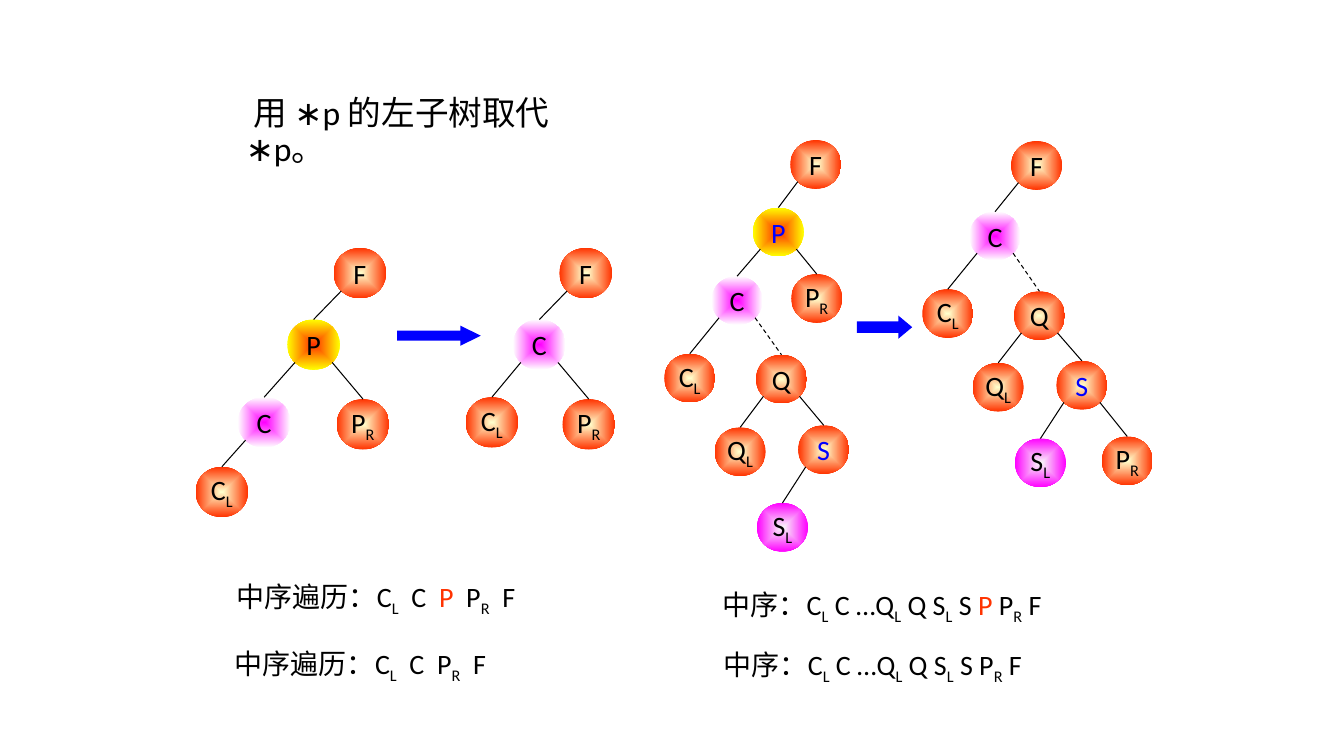
"""Build a slide on deleting a node from a binary search tree."""
from lxml import etree
from pptx import Presentation
from pptx.dml.color import RGBColor
from pptx.enum.dml import MSO_LINE
from pptx.enum.shapes import MSO_CONNECTOR, MSO_SHAPE
from pptx.enum.text import MSO_ANCHOR, PP_ALIGN
from pptx.oxml.ns import qn
from pptx.util import Pt

OVAL, ARROW = MSO_SHAPE.OVAL, MSO_SHAPE.RIGHT_ARROW
LINE, DASH = MSO_CONNECTOR.STRAIGHT, MSO_LINE.DASH
MIDDLE, CENTER = MSO_ANCHOR.MIDDLE, PP_ALIGN.CENTER

FONT = "Calibri"
BLACK = RGBColor(0x00, 0x00, 0x00)
BLUE = RGBColor(0x00, 0x00, 0xFF)
RED = RGBColor(0xFF, 0x33, 0x00)
CREAM = RGBColor(0xFF, 0xFF, 0xCC)
YELLOW = RGBColor(0xFF, 0xFF, 0x00)
PINK = RGBColor(0xFF, 0x00, 0xFF)
WHITE = RGBColor(0xFF, 0xFF, 0xFF)
PALE = RGBColor(0xF8, 0xF8, 0xF8)

PLAIN, GONE, CHILD, LEAF = (CREAM, RED), (RED, YELLOW), (PINK, WHITE), (PALE, PINK)
DIAG = 0.3536

BIG, SMALL = (37.6, 36), (36.4, 34.8)
TREES = [
    (BIG, [
        ("F", 238.3, 177.1, PLAIN, BLACK, None),
        ("P", 205.2, 228.2, GONE, BLACK, "F"),
        ("C", 169.9, 283.7, CHILD, BLACK, "P"),
        ("P|_R", 240.5, 285.1, PLAIN, BLACK, "P"),
        ("C|_L", 139.7, 333.4, PLAIN, BLACK, "C"),
    ]),
    (BIG, [
        ("F", 399.6, 177.1, PLAIN, BLACK, None),
        ("C", 366.5, 228.2, CHILD, BLACK, "F"),
        ("P|_R", 401.8, 285.1, PLAIN, BLACK, "C"),
        ("C|_L", 332.6, 283.7, PLAIN, BLACK, "C"),
    ]),
    (SMALL, [
        ("F", 564.5, 100.1, PLAIN, BLACK, None),
        ("P", 537.8, 148.3, GONE, BLUE, "F"),
        ("C", 508.3, 197.3, CHILD, BLACK, "P"),
        ("P|_R", 565.2, 195.8, PLAIN, BLACK, "P"),
        ("C|_L", 474.5, 252.7, PLAIN, BLACK, "C"),
        ("Q", 540, 253.4, PLAIN, BLACK, "C"),
        ("Q|_L", 510.5, 305.3, PLAIN, BLACK, "Q"),
        ("S", 570.2, 303.8, PLAIN, BLUE, "Q"),
        ("S|_L", 540.7, 359.3, LEAF, BLACK, "S"),
    ]),
    (SMALL, [
        ("F", 722.2, 100.8, PLAIN, BLACK, None),
        ("C", 692.6, 151.2, CHILD, BLACK, "F"),
        ("C|_L", 658.8, 206.6, PLAIN, BLACK, "C"),
        ("Q", 724.3, 208.1, PLAIN, BLACK, "C"),
        ("Q|_L", 694.8, 259.2, PLAIN, BLACK, "Q"),
        ("S", 754.6, 257.8, PLAIN, BLUE, "Q"),
        ("S|_L", 725, 313.2, LEAF, BLACK, "S"),
        ("P|_R", 787, 311.8, PLAIN, BLACK, "S"),
    ]),
]

ORDERS = [
    (162, 411.8, 221, "中序遍历：C|_L|  C  |!P|  P|_R|  F"),
    (160.6, 459.4, 201.6, "中序遍历：C|_L|  C  P|_R|  F"),
    (509, 417.6, 252, "中序：C|_L| C …Q|_L| Q S|_L| S |!P| P|_R| F"),
    (509.8, 460.1, 236.9, "中序：C|_L| C …Q|_L| Q S|_L| S P|_R| F"),
]


def write(par, text, size=20, color=BLACK):
    """Add runs split at bars; a leading _ lowers one and ! reddens it."""
    for part in text.split("|"):
        run = par.add_run()
        run.text = part.lstrip("_!")
        font = run.font
        font.name, font.size = FONT, Pt(size)
        font.color.rgb = RED if part.startswith("!") else color
        if part.startswith("_"):
            font._element.set("baseline", "-25000")


def add_text(slide, left, top, width, height):
    """Add an empty text box and return its frame."""
    box = slide.shapes.add_textbox(Pt(left), Pt(top), Pt(width), Pt(height))
    return box.text_frame


def add_node(slide, size, label, left, top, look, color):
    """Add a round tree node with a gradient from its centre."""
    node = slide.shapes.add_shape(OVAL, Pt(left), Pt(top), *map(Pt, size))
    node.shadow.inherit = False
    node.line.fill.background()
    node.fill.gradient()
    for stop, shade in zip(node.fill.gradient_stops, look):
        stop.color.rgb = shade
    grad = node._element.spPr.find(qn("a:gradFill"))
    grad.remove(grad.find(qn("a:lin")))
    path = etree.SubElement(grad, qn("a:path"), {"path": "shape"})
    etree.SubElement(path, qn("a:fillToRect"), dict.fromkeys("ltrb", "50000"))
    frame = node.text_frame
    frame.word_wrap = False
    frame.vertical_anchor = MIDDLE
    par = frame.paragraphs[0]
    par.alignment = CENTER
    write(par, label, color=color)
    return node


def add_edge(slide, parent, child, dashed):
    """Join the lower diagonal of a parent to the top of its child."""
    side = -DIAG if child.left < parent.left else DIAG
    x = parent.left + int(parent.width * (0.5 + side))
    y = parent.top + int(parent.height * (0.5 + DIAG))
    edge = slide.shapes.add_connector(LINE, x, y, x, y)
    edge.end_connect(child, 0)
    edge.line.color.rgb = BLACK
    edge.line.width = Pt(0.75)
    if dashed:
        edge.line.dash_style = DASH
    etree.SubElement(edge._element.spPr, qn("a:effectLst"))


def add_tree(slide, size, rows):
    """Add all nodes of a tree, then its edges."""
    nodes = {row[0]: add_node(slide, size, *row[:5]) for row in rows}
    for label, *_, parent in rows:
        if parent:
            add_edge(slide, nodes[parent], nodes[label], label == "Q")


def add_arrow(slide, left, top, width, height, head):
    """Add a blue block arrow."""
    arrow = slide.shapes.add_shape(ARROW, Pt(left), Pt(top), Pt(width), Pt(height))
    arrow.adjustments[1] = head
    arrow.shadow.inherit = False
    arrow.fill.solid()
    arrow.fill.fore_color.rgb = BLUE
    arrow.line.fill.background()


def main():
    """Build and save the slide."""
    deck = Presentation()
    deck.slide_width, deck.slide_height = Pt(960), Pt(540)
    slide = deck.slides.add_slide(deck.slide_layouts[6])

    title = add_text(slide, 168.5, 65.5, 285, 33)
    title.word_wrap = True
    title.paragraphs[0].line_spacing = 0.9
    write(title.paragraphs[0], " 用 ∗p 的左子树取代 ∗p。", 24)

    for size, rows in TREES:
        add_tree(slide, size, rows)
    add_arrow(slide, 283.7, 232.6, 59.8, 14.4, 1.02)
    add_arrow(slide, 612, 225.4, 39.6, 16.6, 0.6)

    for left, top, width, text in ORDERS:
        frame = add_text(slide, left, top, width, 31.7)
        frame.word_wrap = False
        frame.vertical_anchor = MIDDLE
        write(frame.paragraphs[0], text)

    deck.save("out.pptx")


if __name__ == "__main__":
    main()
